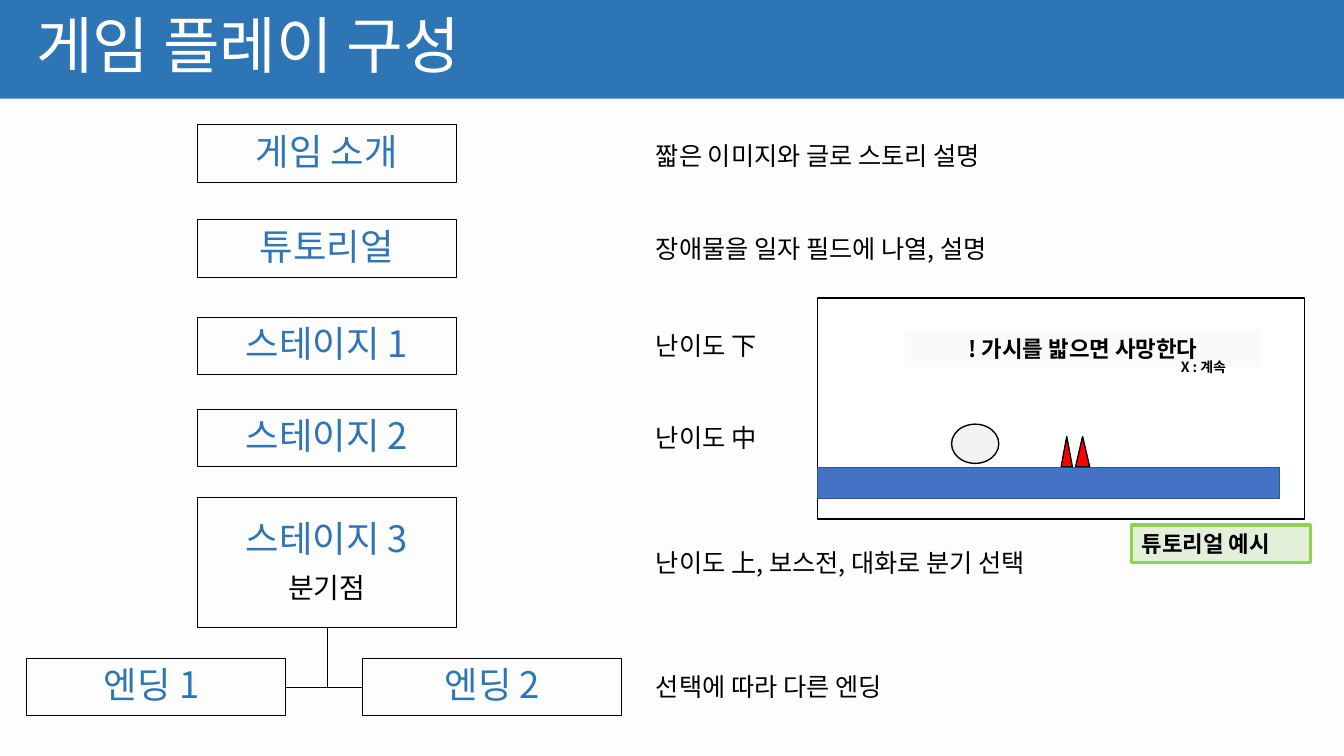
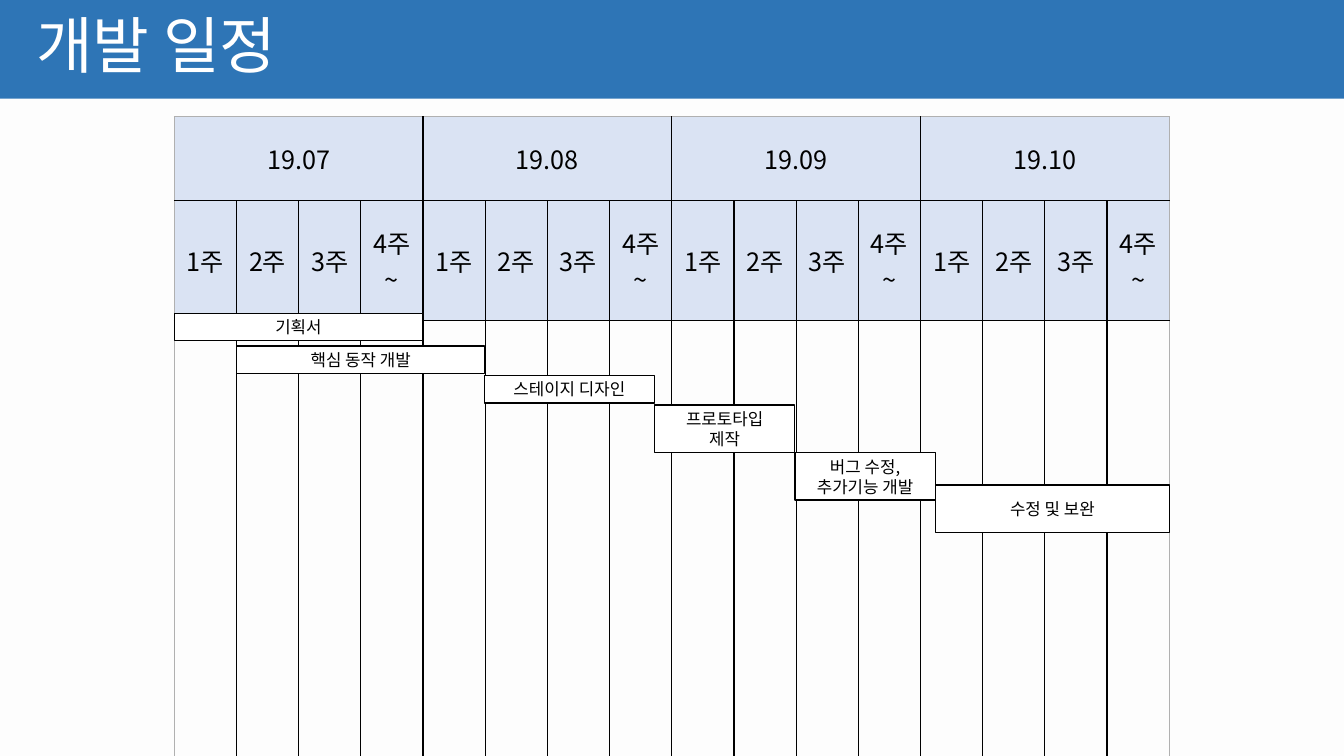
from dataclasses import dataclass
from typing import Any, Optional

from lxml import etree
from pptx import Presentation
from pptx.dml.color import RGBColor
from pptx.enum.shapes import MSO_CONNECTOR, MSO_SHAPE
from pptx.enum.text import MSO_ANCHOR, PP_ALIGN
from pptx.oxml.ns import qn
from pptx.util import Pt

# Enum members
RECT, OVAL = MSO_SHAPE.RECTANGLE, MSO_SHAPE.OVAL
TRIANGLE = MSO_SHAPE.ISOSCELES_TRIANGLE
STRAIGHT = MSO_CONNECTOR.STRAIGHT
LEFT, CENTER = PP_ALIGN.LEFT, PP_ALIGN.CENTER
TOP, MIDDLE = MSO_ANCHOR.TOP, MSO_ANCHOR.MIDDLE

# Colours and font
BLUE = RGBColor(0x2E, 0x75, 0xB6)
PANEL = RGBColor(0xFD, 0xFD, 0xFD)
WHITE = RGBColor(0xFF, 0xFF, 0xFF)
BLACK = RGBColor(0x00, 0x00, 0x00)
EDGE = RGBColor(0xB0, 0xB0, 0xB0)
HEADER = RGBColor(0xDA, 0xE3, 0xF3)
GROUND = RGBColor(0x44, 0x72, 0xC4)
GROUND_LINE = RGBColor(0x32, 0x54, 0x91)
RED = RGBColor(0xFF, 0x00, 0x00)
BALL = RGBColor(0xF2, 0xF2, 0xF2)
MESSAGE = RGBColor(0xFA, 0xFA, 0xFA)
TAG = RGBColor(0xE2, 0xF0, 0xD9)
TAG_LINE = RGBColor(0x92, 0xD0, 0x50)
FONT = "Noto Sans CJK KR"

SLIDE_W, SLIDE_H, BAND_H = 960, 540, 70.5


@dataclass(frozen=True)
class TextStyle:
    size: float
    color: RGBColor = BLACK
    bold: bool = False
    align: Any = CENTER
    anchor: Any = MIDDLE
    spacing: Optional[float] = None
    before: float = 0


@dataclass(frozen=True)
class Box:
    x: float
    y: float
    w: float
    h: float
    lines: tuple[str, ...] = ()
    fill: Optional[RGBColor] = None
    line: Optional[RGBColor] = BLACK
    weight: float = 1
    kind: Any = RECT


TITLE = TextStyle(44, WHITE, align=LEFT, spacing=0.9)
STEP = TextStyle(26, BLUE, spacing=0.9, before=10)
STEP_NOTE = TextStyle(20, spacing=0.9, before=10)
NOTE = TextStyle(18, align=LEFT, anchor=TOP)
CELL = TextStyle(18)
BAR = TextStyle(12)
SCENE = TextStyle(16, bold=True)
SCENE_TAG = TextStyle(16, bold=True, align=LEFT)
SCENE_KEY = TextStyle(10, bold=True)


# Shared drawing helpers
def set_all(obj: Any, values: dict[str, Any]) -> None:
    for name, value in values.items():
        setattr(obj, name, value)


def add_line_of_text(p: Any, text: str, style: TextStyle) -> None:
    set_all(p, {"alignment": style.align, "line_spacing": style.spacing,
                "space_before": Pt(style.before)})
    r = p.add_run()
    r.text = text
    set_all(r.font, {"size": Pt(style.size), "bold": style.bold, "name": FONT})
    r.font.color.rgb = style.color
    etree.SubElement(r.font._element, qn("a:ea")).set("typeface", FONT)


def write(tf: Any, lines: tuple[str, ...], *styles: TextStyle) -> None:
    """Write one paragraph per line; the last style serves any further lines."""
    set_all(tf, {"word_wrap": True, "vertical_anchor": styles[0].anchor})
    for i, text in enumerate(lines):
        p = tf.add_paragraph() if i else tf.paragraphs[0]
        add_line_of_text(p, text, styles[min(i, len(styles) - 1)])


def add_box(shapes: Any, box: Box, *styles: TextStyle) -> Any:
    sp = shapes.add_shape(box.kind, Pt(box.x), Pt(box.y), Pt(box.w), Pt(box.h))
    sp.shadow.inherit = False
    if box.fill is None:
        sp.fill.background()
    else:
        sp.fill.solid()
        sp.fill.fore_color.rgb = box.fill
    if box.line is None:
        sp.line.fill.background()
    else:
        sp.line.color.rgb = box.line
        sp.line.width = Pt(box.weight)
    if box.lines:
        write(sp.text_frame, box.lines, *styles)
    return sp


def add_text(shapes: Any, x: float, y: float, w: float, h: float,
             text: str, style: TextStyle) -> None:
    sp = shapes.add_textbox(Pt(x), Pt(y), Pt(w), Pt(h))
    write(sp.text_frame, (text,), style)


def add_line(shapes: Any, x1: float, y1: float, x2: float, y2: float) -> Any:
    cn = shapes.add_connector(STRAIGHT, Pt(x1), Pt(y1), Pt(x2), Pt(y2))
    cn.line.color.rgb = BLACK
    cn.line.width = Pt(0.5)
    etree.SubElement(cn._element.spPr, qn("a:effectLst"))
    return cn


def new_slide(prs: Any, title: str) -> Any:
    s = prs.slides.add_slide(prs.slide_layouts[6])
    s.background.fill.solid()
    s.background.fill.fore_color.rgb = BLUE
    add_box(s.shapes, Box(0, BAND_H, SLIDE_W, SLIDE_H - BAND_H, fill=PANEL, line=None))
    add_text(s.shapes, 18.7, 0, 828, 69.8, title, TITLE)
    return s


# Slide 1: game flow
STEP_X, STEP_W, STEP_H = 141, 185, 41
ENDING_Y = 470.2
STEPS = (
    (STEP_X, 89.3, STEP_H, ("게임 소개",)),
    (STEP_X, 157, STEP_H, ("튜토리얼",)),
    (STEP_X, 226.8, STEP_H, ("스테이지 1",)),
    (STEP_X, 292.3, STEP_H, ("스테이지 2",)),
    (STEP_X, 355.5, 92.5, ("스테이지 3", "분기점")),
    (18.7, ENDING_Y, STEP_H, ("엔딩 1 ",)),
    (259.2, ENDING_Y, STEP_H, ("엔딩 2",)),
)
NOTES = (
    (96.5, "짧은 이미지와 글로 스토리 설명"),
    (163.4, "장애물을 일자 필드에 나열, 설명"),
    (232.6, "난이도 下"),
    (298, "난이도 中"),
    (387.4, "난이도 上, 보스전, 대화로 분기 선택"),
    (475.9, "선택에 따라 다른 엔딩"),
)
SCENE_BOXES = (
    (Box(584, 213, 348, 157.7, fill=WHITE), SCENE),
    (Box(584, 334, 330, 22.3, fill=GROUND, line=GROUND_LINE), SCENE),
    (Box(808.5, 375, 127.5, 26.7, ("튜토리얼 예시",), TAG, TAG_LINE, 2.25), SCENE_TAG),
    (Box(758, 311.8, 8, 21.6, fill=RED, kind=TRIANGLE), SCENE),
    (Box(768.3, 311.8, 10, 21.6, fill=RED, kind=TRIANGLE), SCENE),
    (Box(679.7, 303, 33.8, 28, fill=BALL, kind=OVAL), SCENE),
    (Box(646.5, 235.4, 254.2, 26.7, ("! 가시를 밟으면 사망한다",), MESSAGE, None), SCENE),
)


def build_flow(prs: Any) -> None:
    s = new_slide(prs, "게임 플레이 구성")
    boxes = [add_box(s.shapes, Box(x, y, STEP_W, h, lines, weight=0.75), STEP, STEP_NOTE)
             for x, y, h, lines in STEPS]

    # Branch from the last stage to both endings
    stage, ending_1, ending_2 = boxes[-3:]
    mid_x, mid_y = STEP_X + STEP_W / 2, ENDING_Y + STEP_H / 2
    stem = add_line(s.shapes, mid_x, ENDING_Y, mid_x, mid_y)
    stem.begin_connect(stage, 2)
    fork = add_line(s.shapes, 0, mid_y, mid_x, mid_y)
    fork.begin_connect(ending_1, 3)
    fork.end_connect(ending_2, 1)

    for y, text in NOTES:
        add_text(s.shapes, 461.5, y, 354, 29, text, NOTE)

    # Tutorial example
    scene = s.shapes.add_group_shape().shapes
    for box, style in SCENE_BOXES:
        add_box(scene, box, style)
    add_text(scene, 818.6, 257, 82, 10, "X : 계속", SCENE_KEY)


# Slide 2: schedule
MONTHS = ("19.07", "19.08", "19.09", "19.10")
WEEKS = ("1주", "2주", "3주", "4주~")
TABLE_X, TABLE_Y, WEEK_W = 124.5, 83.3, 44.42
MONTH_H, WEEK_H = 60, 85.5
# The body row runs down to the foot of the slide
ROW_HEIGHTS = (MONTH_H, WEEK_H, SLIDE_H - TABLE_Y - MONTH_H - WEEK_H)
BARS = (
    Box(124.5, 223.9, 177.3, 19.5, ("기획서",), WHITE),
    Box(169, 247.2, 177.3, 19.5, ("핵심 동작 개발",), WHITE),
    Box(346, 268.3, 121.5, 19.5, ("스테이지 디자인",), WHITE),
    Box(467.5, 289.3, 100.3, 34, ("프로토타입", "제작"), WHITE),
    Box(567.8, 323.3, 100.3, 34, ("버그 수정,", "추가기능 개발"), WHITE),
    Box(668, 346.5, 167.5, 34, ("수정 및 보완",), WHITE),
)


def add_border(cell: Any, side: str, color: RGBColor, weight: float) -> None:
    ln = etree.SubElement(cell._tc.get_or_add_tcPr(), qn("a:ln" + side))
    ln.set("w", str(int(Pt(weight))))
    fill = etree.SubElement(ln, qn("a:solidFill"))
    etree.SubElement(fill, qn("a:srgbClr")).set("val", str(color))


def style_cell(cell: Any, row: int, col: int, last_row: int, last_col: int) -> None:
    span = cell.span_width if cell.is_merge_origin else 1
    outer = {"L": col == 0, "R": col + span - 1 == last_col,
             "T": row == 0, "B": row == last_row}
    if not cell.is_spanned:
        for side, is_outer in outer.items():
            add_border(cell, side, *((EDGE, 0.5) if is_outer else (BLACK, 1)))
    if row == last_row:
        cell.fill.background()
    else:
        cell.fill.solid()
        cell.fill.fore_color.rgb = HEADER


def build_schedule(prs: Any) -> None:
    s = new_slide(prs, "개발 일정")
    n_weeks = len(WEEKS)
    n_rows, n_cols = len(ROW_HEIGHTS), len(MONTHS) * n_weeks
    table = s.shapes.add_table(n_rows, n_cols, Pt(TABLE_X), Pt(TABLE_Y),
                               Pt(WEEK_W * n_cols), Pt(sum(ROW_HEIGHTS))).table
    set_all(table, {"first_row": False, "horz_banding": False})
    for column in table.columns:
        column.width = Pt(WEEK_W)
    for row, height in zip(table.rows, ROW_HEIGHTS):
        row.height = Pt(height)

    # Month and week headings
    for m, month in enumerate(MONTHS):
        first = m * n_weeks
        table.cell(0, first).merge(table.cell(0, first + n_weeks - 1))
        headings = [(0, first, month)]
        headings += [(1, first + w, week) for w, week in enumerate(WEEKS)]
        for row, col, text in headings:
            cell = table.cell(row, col)
            cell.vertical_anchor = MIDDLE
            add_line_of_text(cell.text_frame.paragraphs[0], text, CELL)
    for row in range(n_rows):
        for col in range(n_cols):
            style_cell(table.cell(row, col), row, col, n_rows - 1, n_cols - 1)

    # Task bars
    for bar in BARS:
        add_box(s.shapes, bar, BAR)


def main() -> None:
    prs = Presentation()
    set_all(prs, {"slide_width": Pt(SLIDE_W), "slide_height": Pt(SLIDE_H)})
    build_flow(prs)
    build_schedule(prs)
    prs.save("out.pptx")


if __name__ == "__main__":
    main()
